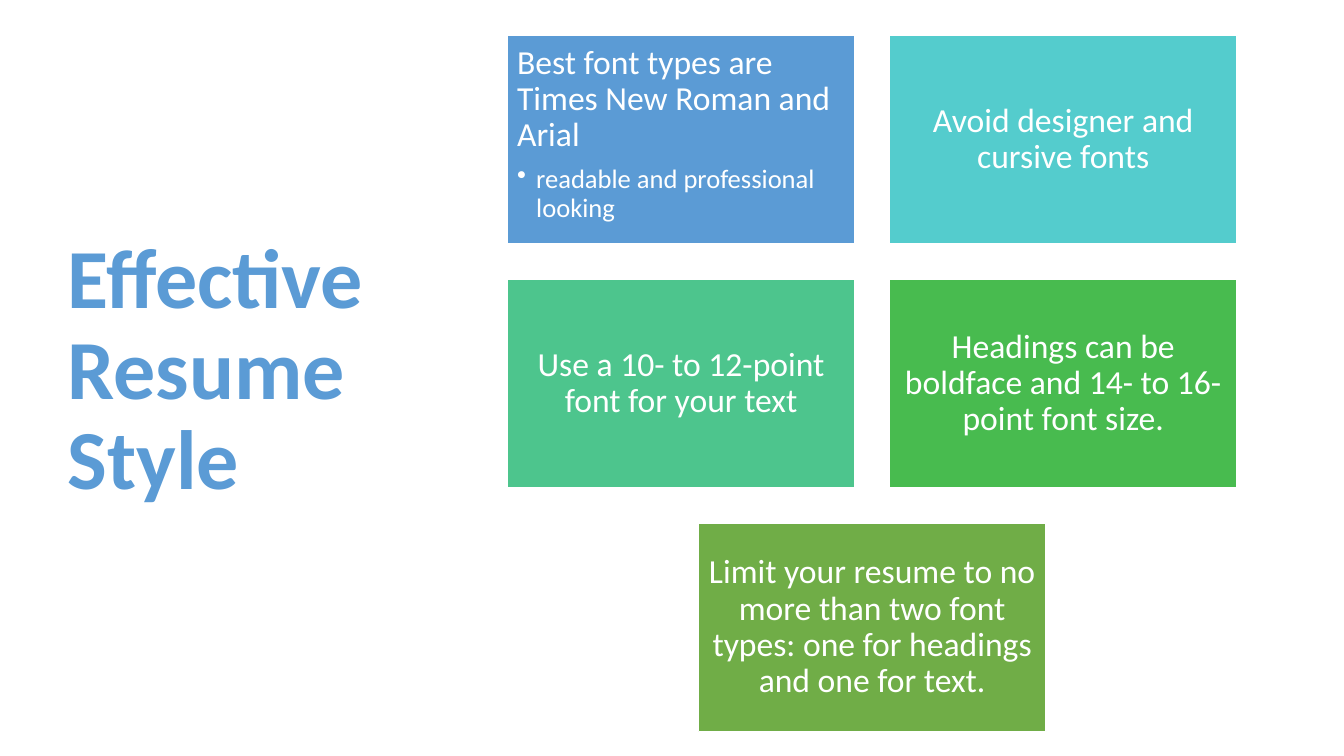
import dataclasses
import typing

import pptx
import pptx.dml.color
import pptx.enum.shapes
import pptx.enum.text
import pptx.oxml
import pptx.oxml.ns
import pptx.util

Inches = pptx.util.Inches
Pt = pptx.util.Pt
ALIGN = pptx.enum.text.PP_ALIGN
ANCHOR = pptx.enum.text.MSO_ANCHOR

FONT = "Calibri"
COLORS = {
    "white": "FFFFFF",
    "blue": "5B9BD5",
    "turquoise": "54CCCD",
    "mint": "4DC58D",
    "green": "48BB4F",
    "olive": "70AD47",
}

GRID_LEFT, GRID_TOP = 5.03, 0.35
CARD_W, CARD_H = 3.45, 2.07
GAP_X, GAP_Y = 0.34, 0.35
CARD_INSET = 0.1
BULLET_INDENT = 0.19


@dataclasses.dataclass(frozen=True)
class Card:
    text: str
    color: str
    col: float
    row: int
    detail: str = ""


CARDS = [
    Card("Best font types are Times New Roman and Arial", "blue", 0, 0,
         "readable and professional looking"),
    Card("Avoid designer and cursive fonts", "turquoise", 1, 0),
    Card("Use a 10- to 12-point font for your text", "mint", 0, 1),
    Card("Headings can be boldface and 14- to 16-point font size.", "green", 1, 1),
    Card("Limit your resume to no more than two font types: "
         "one for headings and one for text.", "olive", 0.5, 2),
]


def rgb(name: str) -> pptx.dml.color.RGBColor:
    return pptx.dml.color.RGBColor.from_string(COLORS[name])


def write_text(p: typing.Any, text: str, *, size: float, color: str,
               bold: bool = False, align: ALIGN = ALIGN.LEFT,
               after: float = 0) -> None:
    p.alignment = align
    p.line_spacing = 0.9
    p.space_before = Pt(0)
    p.space_after = Pt(after)
    r = p.add_run()
    r.text = text
    r.font.name = FONT
    r.font.size = Pt(size)
    r.font.bold = bold
    r.font.color.rgb = rgb(color)


def add_bullet(p: typing.Any) -> None:
    p.level = 1
    pPr = p._p.get_or_add_pPr()
    pPr.set("marL", str(Inches(BULLET_INDENT)))
    pPr.set("indent", str(-Inches(BULLET_INDENT)))
    ns = pptx.oxml.ns.nsdecls("a")
    pPr.append(pptx.oxml.parse_xml(f'<a:buChar {ns} char="•"/>'))


def add_title(slide: typing.Any, text: str) -> None:
    sp = slide.shapes.title
    sp.left, sp.top = Inches(0.57), Inches(0.68)
    sp.width, sp.height = Inches(4.16), Inches(6.02)
    tf = sp.text_frame
    tf.word_wrap = True
    tf.auto_size = pptx.enum.text.MSO_AUTO_SIZE.NONE
    tf.vertical_anchor = ANCHOR.MIDDLE
    write_text(tf.paragraphs[0], text, size=60, color="blue", bold=True)


def add_card(slide: typing.Any, card: Card) -> None:
    """Place a card on the grid; one with a detail line reads from the top left."""
    sp = slide.shapes.add_shape(
        pptx.enum.shapes.MSO_SHAPE.RECTANGLE,
        Inches(GRID_LEFT + card.col * (CARD_W + GAP_X)),
        Inches(GRID_TOP + card.row * (CARD_H + GAP_Y)),
        Inches(CARD_W), Inches(CARD_H))
    sp.shadow.inherit = False
    sp.fill.solid()
    sp.fill.fore_color.rgb = rgb(card.color)
    sp.line.color.rgb = rgb("white")
    sp.line.width = Pt(1)

    tf = sp.text_frame
    tf.word_wrap = True
    tf.margin_left = tf.margin_right = Inches(CARD_INSET)
    tf.margin_top = tf.margin_bottom = Inches(CARD_INSET)
    tf.vertical_anchor = ANCHOR.TOP if card.detail else ANCHOR.MIDDLE
    align = ALIGN.LEFT if card.detail else ALIGN.CENTER
    write_text(tf.paragraphs[0], card.text, size=24, color="white",
               align=align, after=8.4)
    if card.detail:
        p = tf.add_paragraph()
        write_text(p, card.detail, size=19, color="white", after=2.85)
        add_bullet(p)


def main() -> None:
    prs = pptx.Presentation()
    prs.slide_width, prs.slide_height = Inches(13.33), Inches(7.5)
    slide = prs.slides.add_slide(prs.slide_layouts.get_by_name("Title Only"))
    add_title(slide, "Effective Resume Style")
    for card in CARDS:
        add_card(slide, card)
    prs.save("out.pptx")


if __name__ == "__main__":
    main()
